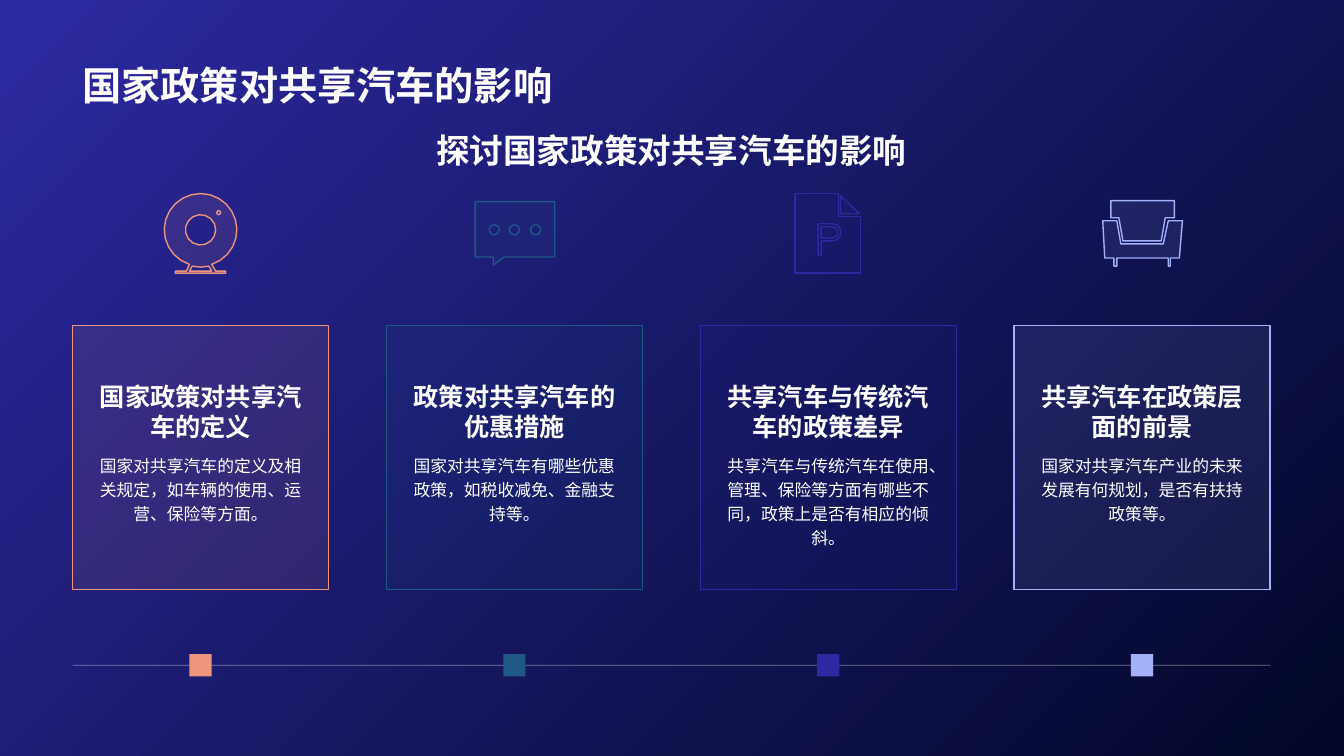
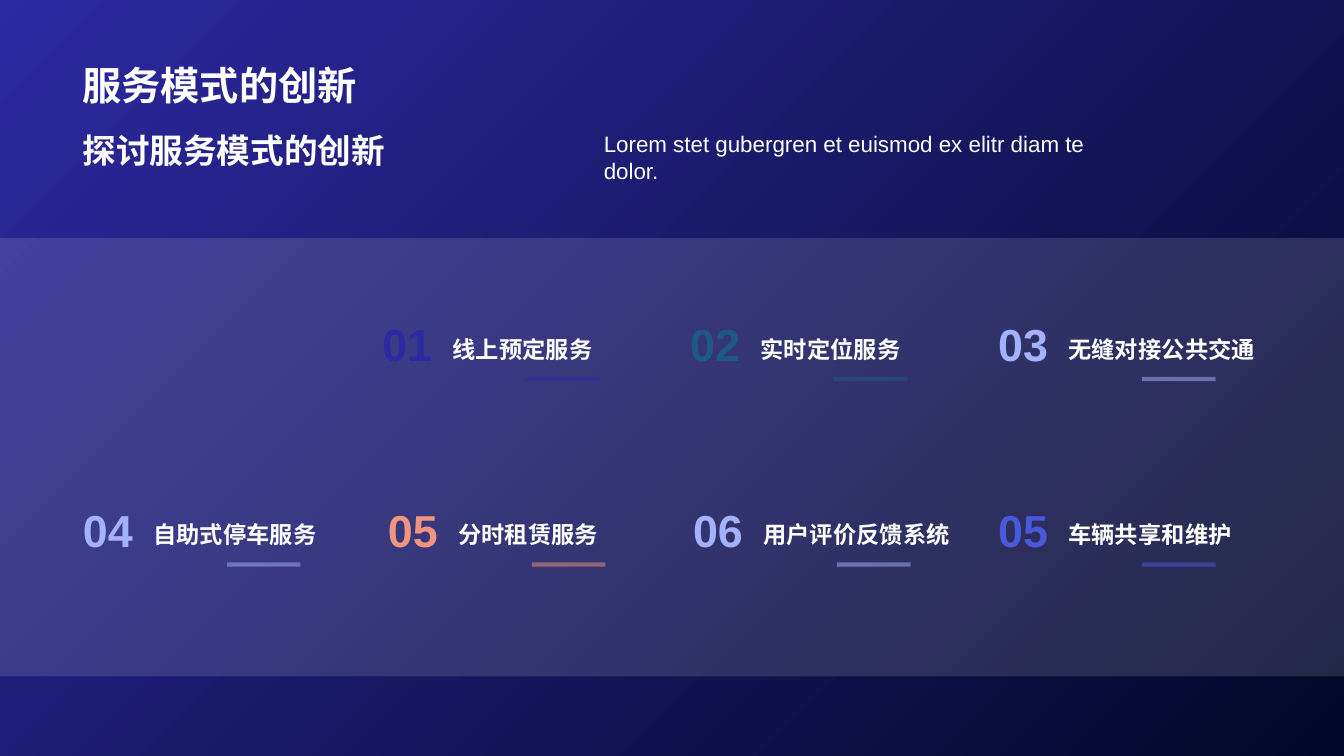
from math import cos, radians, sin, sqrt

from lxml.etree import SubElement
from pptx import Presentation
from pptx.dml.color import RGBColor
from pptx.enum.shapes import MSO_CONNECTOR as Wire, MSO_SHAPE as Form
from pptx.enum.text import MSO_ANCHOR as Anchor, PP_ALIGN as Align
from pptx.oxml.ns import qn
from pptx.util import Inches as In, Pt

HUES = {
    "white": "FFFFFF", "mist": "E6E4E4", "coral": "EF957D", "teal": "1E5986",
    "indigo": "2D29A1", "sky": "A4B1FB", "blue": "4A58DA", "night": "020728",
}
FONT = "Arial"
WIDE, HIGH = 40 / 3, 7.5
EDGE = 0.72                     # left margin of the grid
SPAN = 11.88                    # width of the grid
CARD = 2.54                     # width of one card
STEP = (SPAN - CARD) / 3        # from one card to the next


def say(page, text, left, top, width, height, size=12, bold=True, hue="white",
        align=Align.LEFT, anchor=Anchor.TOP, wrap=True, inset=0.1, lead=None):
    """Add a text box; lengths are in inches."""
    frame = page.shapes.add_textbox(In(left), In(top), In(width), In(height)).text_frame
    frame.word_wrap = wrap
    frame.vertical_anchor = anchor
    frame.margin_left = frame.margin_right = In(inset)
    para = frame.paragraphs[0]
    para.alignment = align
    para.line_spacing = lead
    run = para.add_run()
    run.text = text
    run.font.size = Pt(size)
    run.font.bold = bold
    run.font.name = FONT
    run.font.color.rgb = RGBColor.from_string(HUES[hue])
    SubElement(run.font._element, qn("a:ea"), typeface=FONT)


def tint(part, hue, solid=100, line=0, clear=100):
    """Set fill and outline; solid and clear are the opacities of each in percent."""
    jobs = []
    if solid:
        jobs.append((part.fill, solid))
    if line:
        part.line.width = Pt(line)
        jobs.append((part.line.fill, clear))
    else:
        part.line.fill.background()
    for fill, share in jobs:
        fill.solid()
        fill.fore_color.rgb = RGBColor.from_string(HUES[hue])
        if share < 100:
            tone = fill._xPr.find(".//" + qn("a:srgbClr"))
            SubElement(tone, qn("a:alpha"), val=str(share * 1000))


deck = Presentation()
deck.slide_width, deck.slide_height = In(WIDE), In(HIGH)

# Shared by both slides: gradient and title
for title in ("国家政策对共享汽车的影响", "服务模式的创新"):
    page = deck.slides.add_slide(deck.slide_layouts[6])
    back = page.background.fill
    back.gradient()
    back.gradient_angle = 315
    for stop, hue in zip(back.gradient_stops, ("indigo", "night")):
        stop.color.rgb = RGBColor.from_string(HUES[hue])
    say(page, title, EDGE, 0.14, SPAN, 0.98, size=28, anchor=Anchor.BOTTOM)
policy, modes = deck.slides

# Icon outlines in 1/100 inch from the icon centre:
# a pair is a point, five numbers are an arc (x, y, radius, from, to in degrees)
camera = [
    [(0, -4, 36, 108, 432), (15, 37), (25, 37), (25, 39), (-25, 39), (-25, 37), (-14, 37)],
    [(0, -4, 37, 77, 103), (-11, 37), (11, 37)],
    [(0, -4, 15, 0, 360)],
    [(18, -21, 2, 0, 360)],
]
chat = [
    [(40, -32), (40, 23), (-10, 23), (-21, 31), (-21, 23), (-39, 23), (-39, -32)],
    *[[(x, -4, 5, 0, 360)] for x in (-20, 0, 21)],
]
sheet = [
    [(10, -40), (10, -17), (32, -17), (32, 39), (-33, 39), (-33, -40)],
    [(-10, -10), (-10, 21), (-7, 21), (-7, 7), (4, -1.5, 8.5, 90, -90)],
    [(4, -1.5, 5.5, -90, 90), (-7, 4), (-7, -7)],
    [(31, -20), (12, -20), (12, -38)],
]
sofa = [
    [(-25, -13), (-21, 10), (21, 10), (26, -13), (40, -13), (37, 24), (28, 24), (28, 32),
     (26, 32), (26, 24), (-25, 24), (-25, 32), (-28, 32), (-28, 24), (-37, 24), (-39, -13)],
    [(32, -33), (32, -16), (23, -16), (19, 7), (-19, 7), (-23, -16), (-31, -16), (-31, -33)],
]

# Policy slide: four cards over a time line
cards = [
    ("coral", camera, "国家政策对共享汽车的定义",
     "国家对共享汽车的定义及相关规定，如车辆的使用、运营、保险等方面。"),
    ("teal", chat, "政策对共享汽车的优惠措施",
     "国家对共享汽车有哪些优惠政策，如税收减免、金融支持等。"),
    ("indigo", sheet, "共享汽车与传统汽车的政策差异",
     "共享汽车与传统汽车在使用、管理、保险等方面有哪些不同，政策上是否有相应的倾斜。"),
    ("sky", sofa, "共享汽车在政策层面的前景",
     "国家对共享汽车产业的未来发展有何规划，是否有扶持政策等。"),
]
say(policy, "探讨国家政策对共享汽车的影响", EDGE, 1.24, SPAN, 0.5, size=24, align=Align.CENTER)
track = policy.shapes.add_connector(
    Wire.STRAIGHT, In(EDGE), In(6.6), In(EDGE + SPAN), In(6.6))
tint(track, "mist", solid=0, line=0.5, clear=50)

for col, (hue, icon, head, body) in enumerate(cards):
    left = EDGE + col * STEP
    mid = left + CARD / 2
    mark = policy.shapes.add_shape(Form.RECTANGLE, In(mid - 0.11), In(6.49), In(0.22), In(0.22))
    tint(mark, hue)
    card = policy.shapes.add_shape(Form.RECTANGLE, In(left), In(3.23), In(CARD), In(2.62))
    tint(card, hue, solid=10, line=1)
    say(policy, head, left + 0.11, 3.74, 2.32, 0.69, size=18,
        align=Align.CENTER, anchor=Anchor.BOTTOM)
    say(policy, body, left + 0.11, 4.43, 2.32, 1.12, bold=False,
        align=Align.CENTER, lead=1.2)

    pen = None
    for loop in icon:
        dots = []
        for item in loop:
            if len(item) == 2:
                dots.append(item)
                continue
            x, y, size, start, end = item
            sweep = end - start
            cuts = max(2, round(abs(sweep) / 90 * sqrt(size)))
            ends = cuts if sweep == 360 else cuts + 1
            turns = [radians(start + sweep * n / cuts) for n in range(ends)]
            dots += [(x + size * cos(a), y + size * sin(a)) for a in turns]
        dots = [(In(x / 100), In(y / 100)) for x, y in dots]
        if pen:
            pen.move_to(*dots[0])
        else:
            pen = policy.shapes.build_freeform(*dots[0])
        pen.add_line_segments(dots[1:], close=True)
    tint(pen.convert_to_shape(In(mid), In(2.32)), hue, solid=10, line=1)

# Modes slide: numbered services on a pale band, rows end at the same column
band = modes.shapes.add_shape(Form.RECTANGLE, 0, In(2.36), In(WIDE), In(4.35))
tint(band, "mist", solid=15)
say(modes, "探讨服务模式的创新", EDGE, 1.24, 4.69, 1.12, size=24)
say(modes, "Lorem stet gubergren et euismod ex elitr diam te dolor.",
    5.99, 1.24, 4.9, 1.12, size=16, bold=False, inset=0)

LAST = 9.8                      # left of the last column
rows = [
    (3.03, (LAST - 3.69) / 2, [("01", "线上预定服务", "indigo"), ("02", "实时定位服务", "teal"),
                               ("03", "无缝对接公共交通", "sky")]),
    (4.87, (LAST - EDGE) / 3, [("04", "自助式停车服务", "sky"), ("05", "分时租赁服务", "coral"),
                               ("06", "用户评价反馈系统", "sky"), ("05", "车辆共享和维护", "blue")]),
]
for top, step, items in rows:
    for back, (num, name, hue) in enumerate(reversed(items)):
        left = LAST - back * step
        say(modes, num, left, top + 0.04, 0.7, 0.68, size=32, hue=hue,
            align=Align.CENTER, anchor=Anchor.MIDDLE, wrap=False)
        say(modes, name, left + 0.7, top, 2.09, 0.62, size=16.65, anchor=Anchor.BOTTOM)
        rule = modes.shapes.add_connector(
            Wire.STRAIGHT, In(left + 2.26), In(top + 0.73), In(left + 1.53), In(top + 0.73))
        tint(rule, hue, solid=0, line=3, clear=50)

# No shadows anywhere
for page in deck.slides:
    for part in page.shapes:
        SubElement(part._element.spPr, qn("a:effectLst"))

deck.save("out.pptx")
